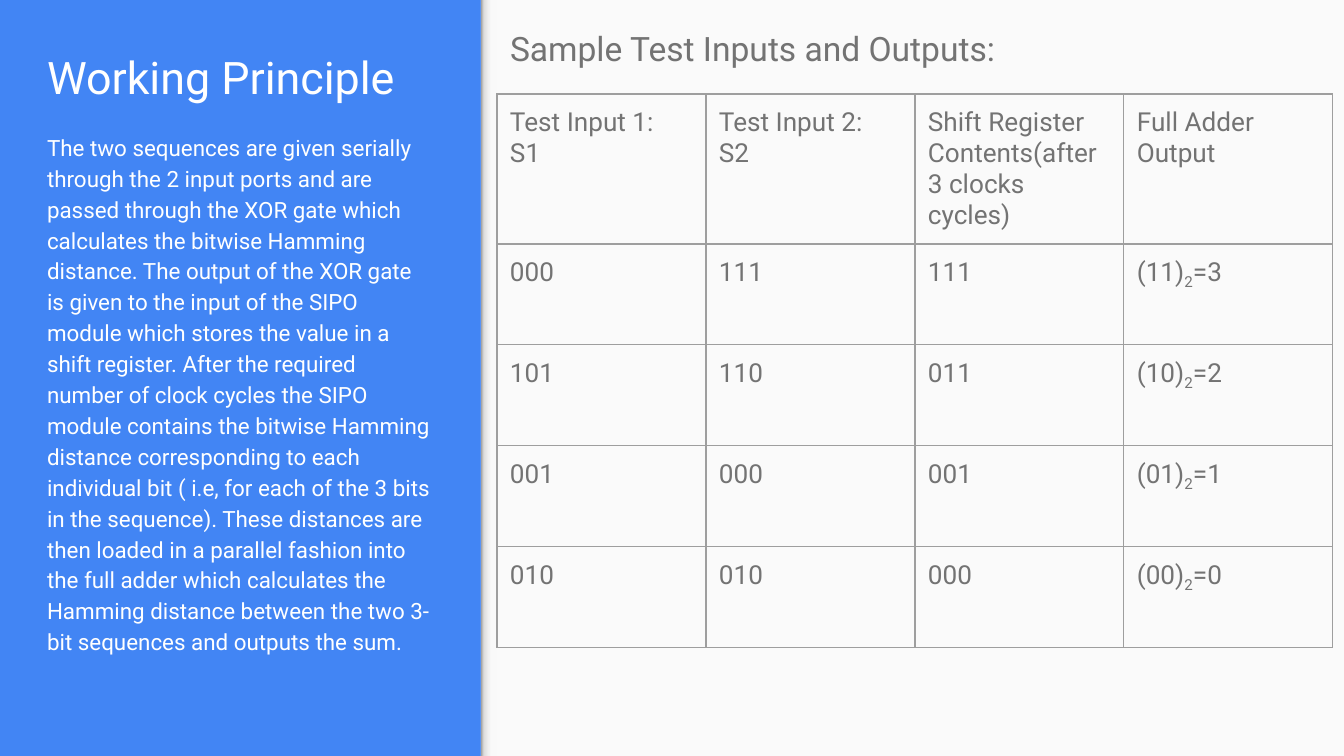
from dataclasses import dataclass

from lxml import etree
from pptx import Presentation
from pptx import util as u
from pptx.dml.color import RGBColor
from pptx.enum import shapes, text
from pptx.oxml import ns

PX = 914400 / 134.4
PAD = 13


@dataclass(frozen=True)
class Theme:
    font: str = "Roboto"
    blue: str = "4285F4"
    pale: str = "FAFAFA"
    white: str = "FFFFFF"
    grey: str = "737373"
    rule: str = "9E9E9E"
    fade: tuple = ((0, "999999"), (20, "DEDEDE"), (64, "F9F9F9"), (100, "F9F9F9"))
    title: int = 24
    head: int = 18
    cell: int = 14
    body: int = 12


THEME = Theme()

TITLE = "Working Principle"
BODY = (
    "The two sequences are given serially through the 2 input ports and are "
    "passed through the XOR gate which calculates the bitwise Hamming distance. "
    "The output of the XOR gate is given to the input of the SIPO module which "
    "stores the value in a shift register. After the required number of clock "
    "cycles the SIPO module contains the bitwise Hamming distance corresponding "
    "to each individual bit ( i.e, for each of the 3 bits in the sequence). "
    "These distances are then loaded in a parallel fashion into the full adder "
    "which calculates the Hamming distance between the two 3-bit sequences and "
    "outputs the sum."
)
HEAD = "Sample Test Inputs and Outputs:"
LABELS = (
    "Test Input 1:\nS1",
    "Test Input 2:\nS2",
    "Shift Register\nContents(after\n3 clocks cycles)",
    "Full Adder\nOutput",
)
TESTS = (
    ("000", "111", "111", ("(11)", "2", "=3")),
    ("101", "110", "011", ("(10)", "2", "=2")),
    ("001", "000", "001", ("(01)", "2", "=1")),
    ("010", "010", "000", ("(00)", "2", "=0")),
)


def emu(px):
    return u.Emu(round(px * PX))


def rgb(code):
    return RGBColor.from_string(code)


def style(frame, size, color):
    for para in frame.paragraphs:
        para.alignment = text.PP_ALIGN.LEFT
        for run in para.runs:
            run.font.name = THEME.font
            run.font.size = u.Pt(size)
            run.font.color.rgb = rgb(color)


def inset(item):
    item.margin_left = item.margin_right = emu(PAD)
    item.margin_top = item.margin_bottom = emu(PAD)


def write(shape, words, size, color, anchor=text.MSO_ANCHOR.TOP):
    frame = shape.text_frame
    frame.text = words
    frame.word_wrap = True
    frame.auto_size = text.MSO_AUTO_SIZE.NONE
    frame.vertical_anchor = anchor
    inset(frame)
    style(frame, size, color)
    return frame


def add_box(slide, x, y, w, h):
    return slide.shapes.add_textbox(*map(emu, (x, y, w, h)))


def add_rect(slide, x, y, w, h):
    shape = slide.shapes.add_shape(
        shapes.MSO_SHAPE.RECTANGLE, *map(emu, (x, y, w, h))
    )
    shape.shadow.inherit = False
    shape.line.fill.background()
    return shape


def add_fade(slide, x, y, w, h):
    strip = add_rect(slide, x, y, w, h)
    strip.fill.gradient()
    strip.fill.gradient_angle = 0
    stops = strip._element.spPr.find(".//" + ns.qn("a:gsLst"))
    for stop in list(stops):
        stops.remove(stop)
    for spot, color in THEME.fade:
        stop = etree.SubElement(stops, ns.qn("a:gs"), pos=str(spot * 1000))
        etree.SubElement(stop, ns.qn("a:srgbClr"), val=color)


def add_rules(cell):
    props = cell._tc.get_or_add_tcPr()
    for i, side in enumerate(("lnL", "lnR", "lnT", "lnB")):
        line = etree.Element(ns.qn("a:" + side), w=str(u.Pt(0.75)))
        fill = etree.SubElement(line, ns.qn("a:solidFill"))
        etree.SubElement(fill, ns.qn("a:srgbClr"), val=THEME.rule)
        props.insert(i, line)


def fill_cell(cell, value):
    frame = cell.text_frame
    if isinstance(value, tuple):
        para = frame.paragraphs[0]
        for part in value:
            para.add_run().text = part
        para.runs[1].font._element.set("baseline", "-25000")
    else:
        frame.text = value
    inset(cell)
    style(frame, THEME.cell, THEME.grey)
    cell.fill.background()
    add_rules(cell)


def add_grid(slide, x, y, w, top, step):
    rows = (LABELS, *TESTS)
    count = len(LABELS)
    high = top + step * len(TESTS)
    table = slide.shapes.add_table(
        len(rows), count, *map(emu, (x, y, w, high))
    ).table
    table.first_row = False
    table.horz_banding = False
    for col in table.columns:
        col.width = emu(w // count)
    for r, values in enumerate(rows):
        table.rows[r].height = emu(step if r else top)
        for c, value in enumerate(values):
            fill_cell(table.cell(r, c), value)


def add_side(slide, x, y, w, h):
    title = slide.shapes.title
    title.left, title.top = emu(x), emu(y)
    title.width, title.height = emu(w), emu(88)
    write(title, TITLE, THEME.title, THEME.white, text.MSO_ANCHOR.BOTTOM)
    body = add_box(slide, x, y + 88, w, h - 88)
    frame = write(body, BODY, THEME.body, THEME.white)
    frame.paragraphs[0].line_spacing = 1.15
    frame.paragraphs[0].space_after = u.Pt(16)


def add_main(slide, x, y, w, h):
    panel = add_rect(slide, x, y, w, h)
    panel.fill.solid()
    panel.fill.fore_color.rgb = rgb(THEME.pale)
    add_fade(slide, x, y, 16, h)
    head = add_box(slide, x + 16, y + 15, w - 16, 102)
    write(head, HEAD, THEME.head, THEME.grey)
    add_grid(slide, x + 16, y + 94, 836, 150, 101)


def main():
    deck = Presentation()
    deck.slide_width, deck.slide_height = emu(1344), emu(756)
    slide = deck.slides.add_slide(deck.slide_layouts[5])
    slide.background.fill.solid()
    slide.background.fill.fore_color.rgb = rgb(THEME.blue)
    add_main(slide, 481, 0, 863, 756)
    add_side(slide, 34, 29, 413, 675)
    deck.save("out.pptx")


if __name__ == "__main__":
    main()
